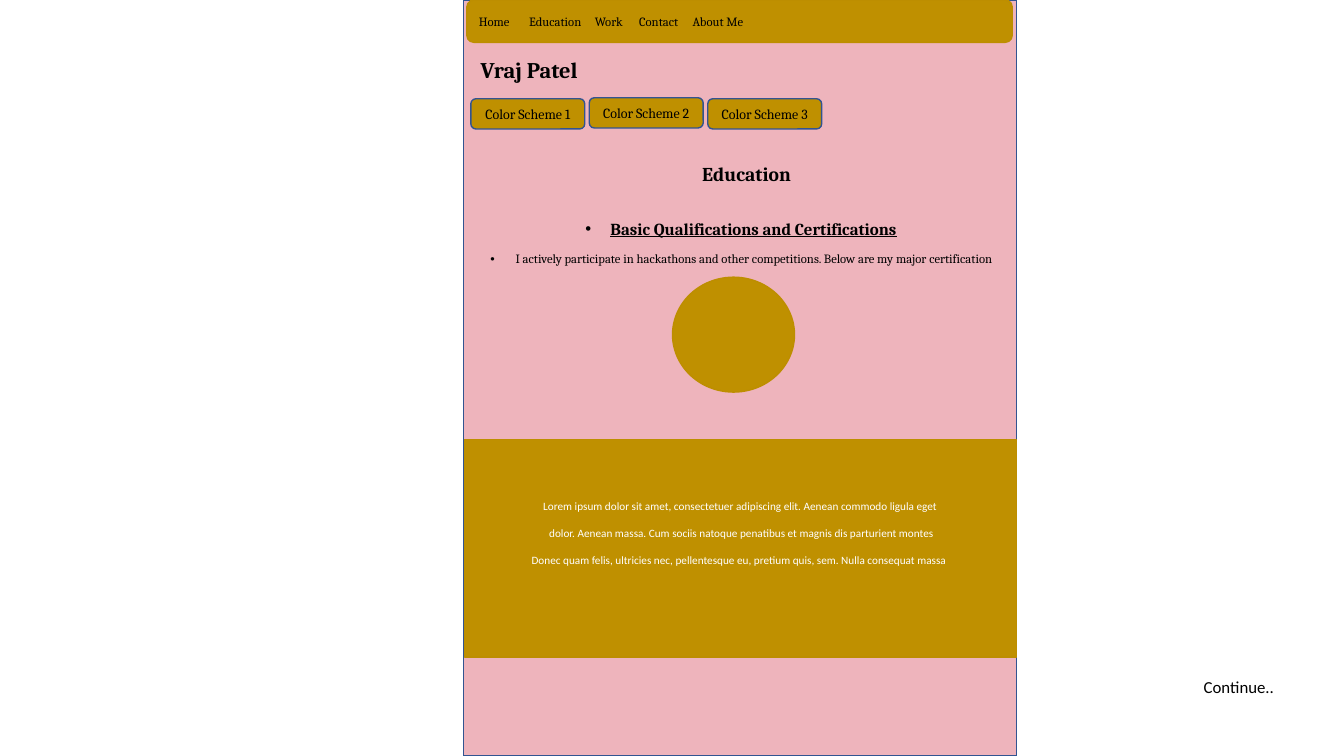
import pptx
import pptx.util
import pptx.dml.color
import pptx.enum.shapes
import pptx.enum.text
import pptx.oxml.ns
import lxml.etree

Inches = pptx.util.Inches
Pt = pptx.util.Pt
Kind = pptx.enum.shapes.MSO_SHAPE
Align = pptx.enum.text.PP_ALIGN
Anchor = pptx.enum.text.MSO_ANCHOR

PINK, GOLD, EDGE, BLUE = "EEB4BC", "BF9000", "BD8E00", "325491"
BLACK, WHITE = "000000", "FFFFFF"

MENU = ["Home", "Education", "Work", "Contact", "About Me"]
STOPS = [0.5, 1.15, 1.59, 2.12]
NAME = "Vraj Patel"
SCHEMES = [("Color Scheme 1", 0.98), ("Color Scheme 2", 0.97), ("Color Scheme 3", 0.98)]
TITLE = "Education"
POINTS = [
    ("Basic Qualifications and Certifications", dict(size=12, bold=True, under=True)),
    ("I actively participate in hackathons and other competitions. "
     "Below are my major certification", dict(size=9)),
]
LOREM = [
    "Lorem ipsum dolor sit amet, consectetuer adipiscing elit. Aenean commodo ligula eget",
    " dolor. Aenean massa. Cum sociis natoque penatibus et magnis dis parturient montes",
    "Donec quam felis, ultricies nec, pellentesque eu, pretium quis, sem. Nulla consequat massa ",
]
NEXT = "Continue.."


def color(code):
    return pptx.dml.color.RGBColor.from_string(code)


def shape(kind, box, fill, edge):
    item = slide.shapes.add_shape(kind, *map(Inches, box))
    item.shadow.inherit = False
    item.fill.solid()
    item.fill.fore_color.rgb = color(fill)
    item.line.color.rgb = color(edge)
    item.line.width = Pt(1)
    item.text_frame.vertical_anchor = Anchor.MIDDLE
    return item.text_frame


def frame(box):
    body = slide.shapes.add_textbox(*map(Inches, box)).text_frame
    body.word_wrap = True
    return body


def write(body, text, size=10, font="Cambria", ink=BLACK, bold=False,
          under=False, align=Align.CENTER, lead=None, gap=0):
    fresh = not body.text
    para = body.paragraphs[0] if fresh else body.add_paragraph()
    para.alignment = align
    para.line_spacing = lead
    para.space_before = Pt(0 if fresh else gap)
    run = para.add_run()
    run.text = text
    run.font.size = Pt(size)
    run.font.name = font
    run.font.bold = bold
    run.font.underline = under
    run.font.color.rgb = color(ink)
    return para


def child(node, tag, **attrs):
    return lxml.etree.SubElement(node, pptx.oxml.ns.qn(tag), **attrs)


def bullet(para):
    props = para._p.get_or_add_pPr()
    step = Inches(0.25)
    props.set("marL", str(step))
    props.set("indent", str(-step))
    child(props, "a:buFont", typeface="Arial")
    child(props, "a:buChar", char="•")


def tabs(para, stops):
    group = child(para._p.get_or_add_pPr(), "a:tabLst")
    for stop in stops:
        child(group, "a:tab", pos=str(Inches(stop)), algn="l")


deck = pptx.Presentation()
deck.slide_width, deck.slide_height = Inches(13.33), Inches(7.5)
slide = deck.slides.add_slide(deck.slide_layouts[6])

shape(Kind.RECTANGLE, (4.6, 0, 5.48, 7.5), PINK, BLUE)

write(frame((5.1, 1.58, 4.61, 0.42)), TITLE, size=14, bold=True, lead=0.9)

points = frame((4.76, 2.14, 5.18, 1.02))
for text, style in POINTS:
    bullet(write(points, text, lead=0.9, gap=10, **style))

menu = shape(Kind.ROUNDED_RECTANGLE, (4.63, 0, 5.41, 0.42), GOLD, EDGE)
tabs(write(menu, "\t".join(MENU), size=9, align=Align.LEFT), STOPS)

write(frame((4.67, 0.51, 2.74, 0.37)), NAME, size=16, bold=True, align=Align.LEFT)

for i, (text, top) in enumerate(SCHEMES):
    box = (4.67 + 1.175 * i, top, 1.13, 0.3)
    write(shape(Kind.ROUNDED_RECTANGLE, box, GOLD, BLUE), text)

shape(Kind.OVAL, (6.67, 2.75, 1.21, 1.14), GOLD, EDGE)

lorem = shape(Kind.RECTANGLE, (4.61, 4.36, 5.47, 2.16), GOLD, EDGE)
lorem.margin_bottom = Inches(0.35)
for text in LOREM:
    write(lorem, text, size=8, font="Calibri", ink=WHITE, gap=9.75)

write(frame((11.84, 6.66, 0.95, 0.3)), NEXT, size=12, font="Calibri", align=Align.LEFT)

deck.save("out.pptx")
